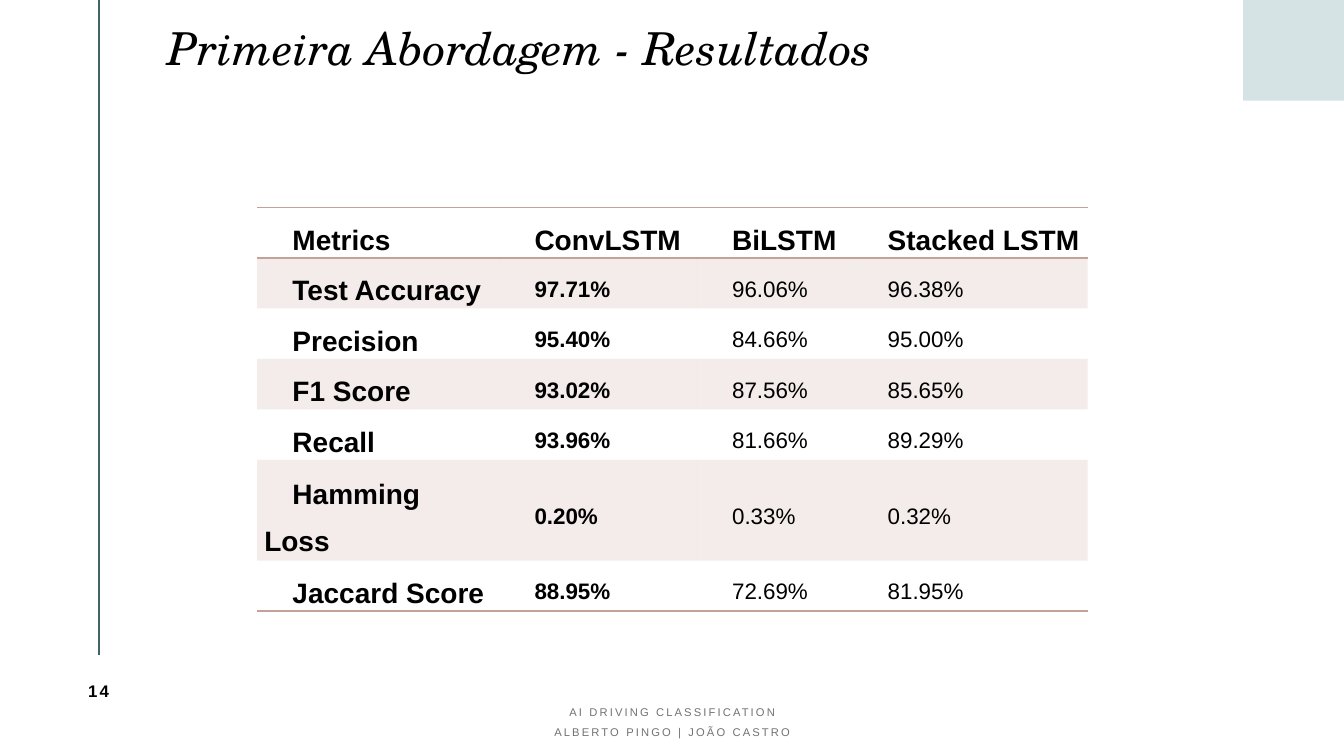
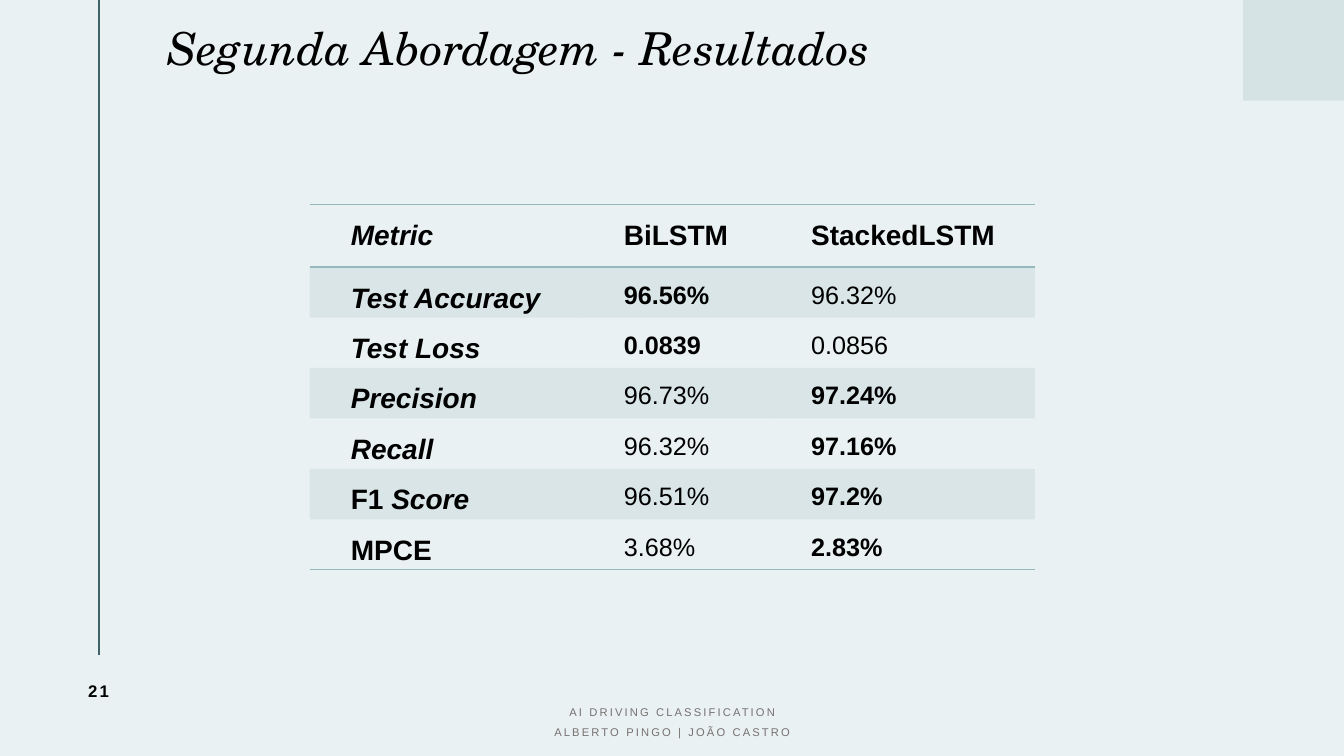
import pptx
import pptx.dml.color
import pptx.enum.shapes
import pptx.enum.text
import pptx.oxml.ns
import pptx.util
from lxml import etree

Cm = pptx.util.Cm
Pt = pptx.util.Pt
ALIGN = pptx.enum.text.PP_ALIGN
ANCHOR = pptx.enum.text.MSO_ANCHOR
qn = pptx.oxml.ns.qn

COLOURS = {
    "text": "000000",
    "footer": "767171",
    "rule": "40636A",
    "corner": "D5E3E5",
    "white": "FFFFFF",
    "mist": "EAF1F2",
    "rose": "C3A398",
    "teal": "95B8BF",
}
TITLE_FONT = "TeX Gyre Schola"
BODY_FONT = "Arial"
NO_STYLE_NO_GRID = "{2D5ABB26-0587-4C30-8999-92F81FD0307C}"
FOOTER_LINES = ("AI DRIVING CLASSIFICATION", "ALBERTO PINGO | JOÃO CASTRO")
BAND_ALPHA = 20


def rgb(name):
    return pptx.dml.color.RGBColor.from_string(COLOURS[name])


def write(paragraph, text, size, font=BODY_FONT, colour="text", bold=False,
          italic=False, spacing=None, align=ALIGN.LEFT, line=None, after=0,
          indent=None):
    """Add one run to a paragraph and format both."""
    paragraph.alignment = align
    paragraph.space_before = Pt(0)
    paragraph.space_after = Pt(after)
    if line:
        paragraph.line_spacing = line
    run = paragraph.add_run()
    run.text = text
    run.font.name = font
    run.font.size = Pt(size)
    run.font.bold = bold
    run.font.italic = italic
    run.font.color.rgb = rgb(colour)
    if spacing:
        run.font._element.set("spc", str(int(spacing * 100)))
    if indent:
        properties = paragraph._p.get_or_add_pPr()
        properties.set("marL", "0")
        properties.set("indent", str(indent))


def add_lines(slide, lines, left, top, width, height, **style):
    """Add a centred text box with one paragraph per line."""
    frame = slide.shapes.add_textbox(
        Cm(left), Cm(top), Cm(width), Cm(height)).text_frame
    frame.word_wrap = True
    frame.vertical_anchor = ANCHOR.MIDDLE
    for index, text in enumerate(lines):
        paragraph = frame.add_paragraph() if index else frame.paragraphs[0]
        write(paragraph, text, align=ALIGN.CENTER, spacing=1.5, **style)


def add_decoration(slide):
    """Vertical rule on the left and square in the top right corner."""
    rule = slide.shapes.add_connector(
        pptx.enum.shapes.MSO_CONNECTOR.STRAIGHT,
        Cm(2.49), Cm(0), Cm(2.49), Cm(16.51))
    rule.line.color.rgb = rgb("rule")
    rule.line.width = Pt(1.5)
    etree.SubElement(rule._element.spPr, qn("a:effectLst"))

    corner = slide.shapes.add_shape(
        pptx.enum.shapes.MSO_SHAPE.RECTANGLE,
        Cm(31.33), Cm(0), Cm(2.54), Cm(2.54))
    corner.shadow.inherit = False
    corner.fill.solid()
    corner.fill.fore_color.rgb = rgb("corner")
    corner.line.fill.background()


def set_title(slide, text):
    title = slide.shapes.title
    title.left, title.top = Cm(4.22), Cm(0.71)
    title.width, title.height = Cm(27.1), Cm(1.14)
    frame = title.text_frame
    frame.word_wrap = True
    frame.auto_size = pptx.enum.text.MSO_AUTO_SIZE.NONE
    frame.vertical_anchor = ANCHOR.MIDDLE
    frame.margin_left = 0
    write(frame.paragraphs[0], text, 32.4, font=TITLE_FONT, italic=True,
          line=0.9)


def add_results_slide(deck, title, number, background):
    """Start a slide with everything the results slides share."""
    slide = deck.slides.add_slide(deck.slide_layouts[5])
    slide.background.fill.solid()
    slide.background.fill.fore_color.rgb = rgb(background)
    add_decoration(slide)
    set_title(slide, title)
    add_lines(slide, [number], 1.14, 16.51, 2.69, 1.8, size=12, bold=True)
    add_lines(slide, FOOTER_LINES, 11.23, 17.6, 11.43, 1.02, size=8,
              colour="footer", line=1.5)
    return slide


def add_border(cell, side, colour):
    """Draw a 1 pt border; side is lnT or lnB."""
    edge = etree.SubElement(cell._tc.get_or_add_tcPr(), qn("a:" + side),
                            w=str(Pt(1)))
    fill = etree.SubElement(edge, qn("a:solidFill"))
    etree.SubElement(fill, qn("a:srgbClr"), val=COLOURS[colour])


def fill_cell(cell, colour, banded):
    if not banded:
        cell.fill.background()
        return
    cell.fill.solid()
    cell.fill.fore_color.rgb = rgb(colour)
    tint = cell._tc.tcPr.find(".//" + qn("a:srgbClr"))
    etree.SubElement(tint, qn("a:alpha"), val=str(BAND_ALPHA * 1000))


def add_metrics_table(slide, header, rows, left, top, widths, header_height,
                      row_height, colour, value_size, inset, anchor):
    """Each row is (label runs, values, column of the best value).

    Label runs and header cells are lists of (text, italic).
    """
    heights = [header_height] + [row_height] * len(rows)
    frame = slide.shapes.add_table(
        len(heights), len(widths), Cm(left), Cm(top),
        Cm(sum(widths)), Cm(sum(heights)))
    table = frame.table
    table.first_row = table.horz_banding = False
    frame._element.find(".//" + qn("a:tableStyleId")).text = NO_STYLE_NO_GRID
    for column, width in zip(table.columns, widths):
        column.width = Cm(width)
    for row, height in zip(table.rows, heights):
        row.height = Cm(height)

    # Every cell becomes (runs, size, bold)
    grid = [[(runs, 20, True) for runs in header]]
    for label, values, best in rows:
        grid.append([(label, 20, True)] + [
            ([(value, False)], value_size, index == best)
            for index, value in enumerate(values)])

    for r, cells in enumerate(grid):
        for c, (runs, size, bold) in enumerate(cells):
            cell = table.cell(r, c)
            cell.margin_left = cell.margin_right = Cm(inset)
            cell.margin_top = cell.margin_bottom = 0
            cell.vertical_anchor = anchor
            if r == 0:
                add_border(cell, "lnT", colour)
            if r in (0, len(rows)):
                add_border(cell, "lnB", colour)
            fill_cell(cell, colour, banded=r % 2 == 1)
            for text, italic in runs:
                write(cell.text_frame.paragraphs[0], text, size, bold=bold,
                      italic=italic, line=1.5, after=10, indent=Cm(0.71))


def upright(text):
    return [(text, False)]


def slanted(text):
    return [(text, True)]


def main():
    deck = pptx.Presentation()
    deck.slide_width, deck.slide_height = Cm(33.87), Cm(19.05)

    # First approach
    first = add_results_slide(
        deck, "Primeira Abordagem - Resultados", "14", "white")
    add_metrics_table(
        first,
        [upright(name) for name in
         ("Metrics", "ConvLSTM", "BiLSTM", "Stacked LSTM")],
        [
            (upright("Test Accuracy"), ("97.71%", "96.06%", "96.38%"), 0),
            (upright("Precision"), ("95.40%", "84.66%", "95.00%"), 0),
            (upright("F1 Score"), ("93.02%", "87.56%", "85.65%"), 0),
            (upright("Recall"), ("93.96%", "81.66%", "89.29%"), 0),
            (upright("Hamming Loss"), ("0.20%", "0.33%", "0.32%"), 0),
            (upright("Jaccard Score"), ("88.95%", "72.69%", "81.95%"), 0),
        ],
        left=6.48, top=5.23, widths=(6.1, 4.98, 3.92, 5.93),
        header_height=1.14, row_height=1.24, colour="rose", value_size=16,
        inset=0.18, anchor=ANCHOR.MIDDLE)

    # Second approach
    second = add_results_slide(
        deck, "Segunda Abordagem - Resultados", "21", "mist")
    add_metrics_table(
        second,
        [slanted("Metric"), upright("BiLSTM"), upright("StackedLSTM")],
        [
            (slanted("Test Accuracy"), ("96.56%", "96.32%"), 0),
            (slanted("Test Loss"), ("0.0839", "0.0856"), 0),
            (slanted("Precision"), ("96.73%", "97.24%"), 1),
            (slanted("Recall"), ("96.32%", "97.16%"), 1),
            (upright("F1 ") + slanted("Score"), ("96.51%", "97.2%"), 1),
            (upright("MPCE"), ("3.68%", "2.83%"), 1),
        ],
        left=7.8, top=5.16, widths=(6.88, 4.72, 6.68),
        header_height=1.57, row_height=1.19, colour="teal", value_size=18,
        inset=0.33, anchor=ANCHOR.TOP)

    deck.save("out.pptx")


if __name__ == "__main__":
    main()
